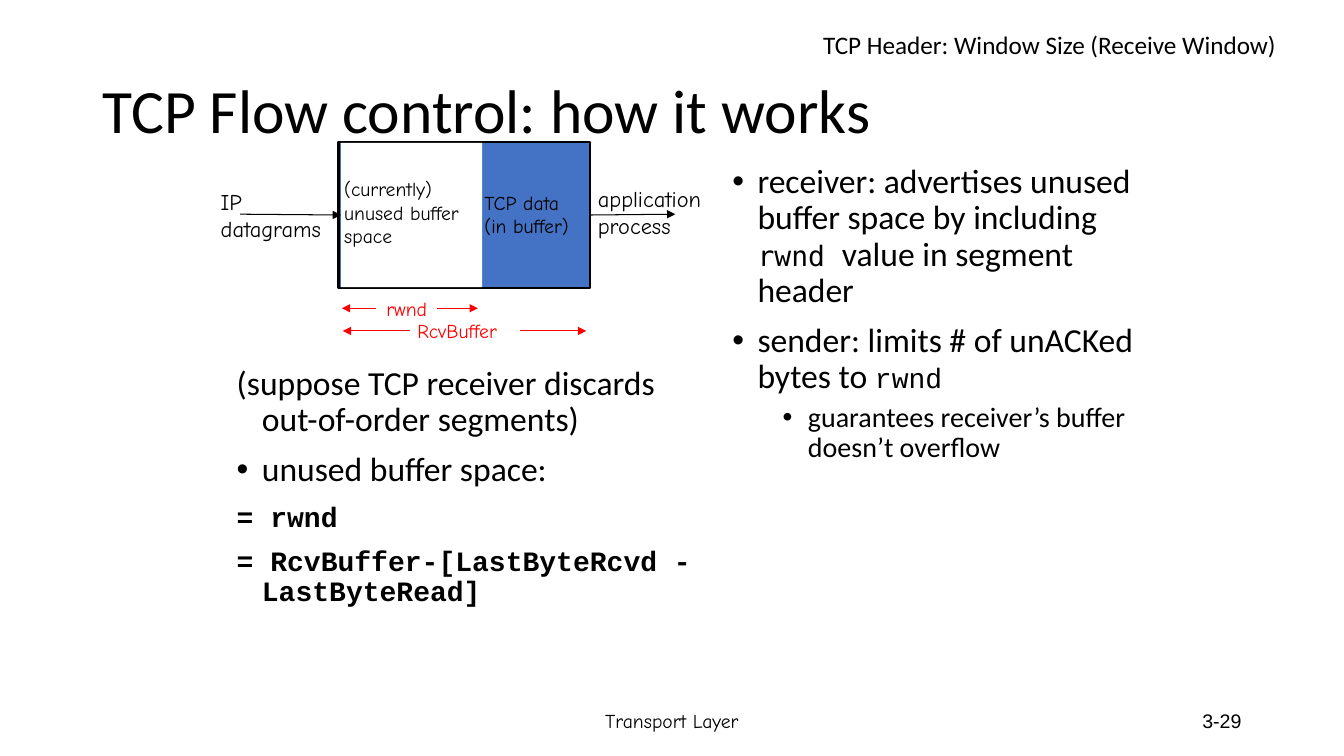
from lxml.etree import SubElement
from pptx import Presentation
from pptx.dml.color import RGBColor
from pptx.enum.shapes import MSO_CONNECTOR as Conn, MSO_SHAPE as Shape
from pptx.enum.text import MSO_ANCHOR as Anchor, MSO_AUTO_SIZE as AutoSize, PP_ALIGN as Align
from pptx.oxml.ns import qn
from pptx.util import Inches, Pt

COLORS = {"ink": "000000", "data": "4472C4", "free": "FFFFFF", "measure": "FF0000"}
HAND, BODY, CODE, MONO = "Comic Neue", "Calibri", "Courier New", "DejaVu Sans Mono"
CELL = Inches(1) / 12  # the slide is a grid of 160 columns by 90 rows


def grid(*cells):
    return [round(n * CELL) for n in cells]


def rgb(name):
    return RGBColor.from_string(COLORS[name])


def add_text(p, text, size=24, font=BODY, color="ink", bold=False):
    r = p.add_run()
    r.text = text
    r.font.size, r.font.name, r.font.bold = Pt(size), font, bold
    r.font.color.rgb = rgb(color)


def add_box(s, area, wrap=True, anchor=Anchor.TOP):
    tf = s.shapes.add_textbox(*grid(*area)).text_frame
    tf.word_wrap, tf.vertical_anchor = wrap, anchor
    tf.auto_size = AutoSize.NONE if wrap else AutoSize.SHAPE_TO_FIT_TEXT
    return tf


def next_paragraph(tf):
    first = tf.paragraphs[0]
    return tf.add_paragraph() if first.runs else first


def add_label(s, area, *lines, **fmt):
    tf = add_box(s, area, wrap=False)
    for line in lines:
        add_text(next_paragraph(tf), line, **fmt)


def add_footer(s, area, text, align, font):
    p = add_box(s, area, anchor=Anchor.MIDDLE).paragraphs[0]
    p.alignment = align
    add_text(p, text, size=14, font=font)


def add_item(tf, *runs, level=0, bullet=True):
    """Add a hanging paragraph; each run is a text and its format."""
    p = next_paragraph(tf)
    p.level, p.line_spacing = level, 0.9
    p.space_before = Pt(5 if level else 10)
    pPr = p._p.get_or_add_pPr()
    pPr.set("marL", str(Inches(0.25 + 0.5 * level)))
    pPr.set("indent", str(Inches(-0.25)))
    if bullet:
        SubElement(pPr, qn("a:buFont"), typeface="Arial")
        SubElement(pPr, qn("a:buChar"), char="•")
    else:
        SubElement(pPr, qn("a:buNone"))
    for text, fmt in runs:
        add_text(p, text, **fmt)


def add_rect(s, area, fill, line=None):
    sp = s.shapes.add_shape(Shape.RECTANGLE, *grid(*area))
    sp.shadow.inherit = False
    sp.fill.solid()
    sp.fill.fore_color.rgb = rgb(fill)
    if line:
        sp.line.color.rgb, sp.line.width = rgb(line), Pt(1.5)
    else:
        sp.line.fill.background()
    return sp


def add_arrow(s, start, end, color="ink"):
    cx = s.shapes.add_connector(Conn.STRAIGHT, *grid(*start, *end))
    cx.line.color.rgb, cx.line.width = rgb(color), Pt(0.75)
    SubElement(cx.line._get_or_add_ln(), qn("a:tailEnd"), type="triangle")
    SubElement(cx._element.spPr, qn("a:effectLst"))
    return cx


def add_title(s, area, text):
    title = s.shapes.title
    title.left, title.top, title.width, title.height = grid(*area)
    tf = title.text_frame
    tf.auto_size, tf.vertical_anchor = AutoSize.NONE, Anchor.MIDDLE
    p = tf.paragraphs[0]
    p.alignment, p.line_spacing = Align.LEFT, 0.9
    add_text(p, text, size=44)


def add_span(s, row, left, right, color="measure"):
    """Draw a measure as two outward arrows, each given as (inner, outer)."""
    for inner, outer in (left, right):
        add_arrow(s, (inner, row), (outer, row), color)


def add_buffer_diagram(s):
    buffer = add_rect(s, (40.3, 16.9, 29.9, 17.4), "data", line="ink")
    unused = add_rect(s, (40.6, 17, 16.8, 17.2), "free")

    # Flow into and out of the buffer
    add_arrow(s, (28.6, 25.5), (40.6, 25.6)).end_connect(unused, 1)
    add_arrow(s, (70.2, 25.6), (80.4, 25.5)).begin_connect(buffer, 3)
    add_label(s, (25.1, 21.8, 15.4, 7.7), "IP", "datagrams", size=16, font=HAND)
    add_label(s, (70, 21.5, 15.6, 7.7), "application", "process", size=16, font=HAND)

    # Buffer contents
    add_label(s, (56.5, 22.1, 14.2, 6.8), "TCP data", "(in buffer)", size=14, font=HAND)
    add_label(s, (39.8, 20.5, 18.1, 9.7), "(currently)", "unused buffer", "space",
              size=14, font=HAND)

    # Measures under the buffer
    red = dict(size=14, font=HAND, color="measure")
    add_label(s, (44.8, 34.7, 7.8, 4), "rwnd", **red)
    add_span(s, 36.7, (44.8, 40.7), (52, 56.9))
    add_label(s, (48.5, 37.4, 13.7, 4), "RcvBuffer", **red)
    add_span(s, 39.4, (48.8, 40.8), (61.9, 69.8))


def add_body(s):
    plain, code = {}, dict(size=20, font=CODE)
    formula = dict(code, bold=True)

    # Left column: unused space
    tf = add_box(s, (27, 43, 57, 39))
    add_item(tf, ("(suppose TCP receiver discards out-of-order segments)", plain), bullet=False)
    add_item(tf, ("unused buffer space:", plain))
    for text in ("= rwnd", "= RcvBuffer-[LastByteRcvd - LastByteRead]"):
        add_item(tf, (text, formula), bullet=False)

    # Right column: receiver and sender
    tf = add_box(s, (86, 19, 51, 61))
    add_item(tf, ("receiver: advertises unused buffer space by including ", plain),
             ("rwnd ", dict(size=20, font=MONO)), ("value in segment header", plain))
    add_item(tf, ("sender: limits # of unACKed bytes to ", plain), ("rwnd", code))
    add_item(tf, ("guarantees receiver’s buffer doesn’t overflow", dict(size=20)), level=1)


def main():
    prs = Presentation()
    prs.slide_width, prs.slide_height = grid(160, 90)
    s = prs.slides.add_slide(prs.slide_layouts[5])

    add_footer(s, (53, 83.4, 54, 4.8), "Transport Layer", Align.CENTER, HAND)
    add_footer(s, (113, 83.4, 36, 4.8), "3-29", Align.RIGHT, "Arial")
    add_title(s, (11, 4.8, 138, 17.4), "TCP Flow control: how it works")
    add_body(s)
    add_buffer_diagram(s)
    add_label(s, (96.8, 2.9, 57, 4.8), "TCP Header: Window Size (Receive Window)", size=18)
    prs.save("out.pptx")


if __name__ == "__main__":
    main()
